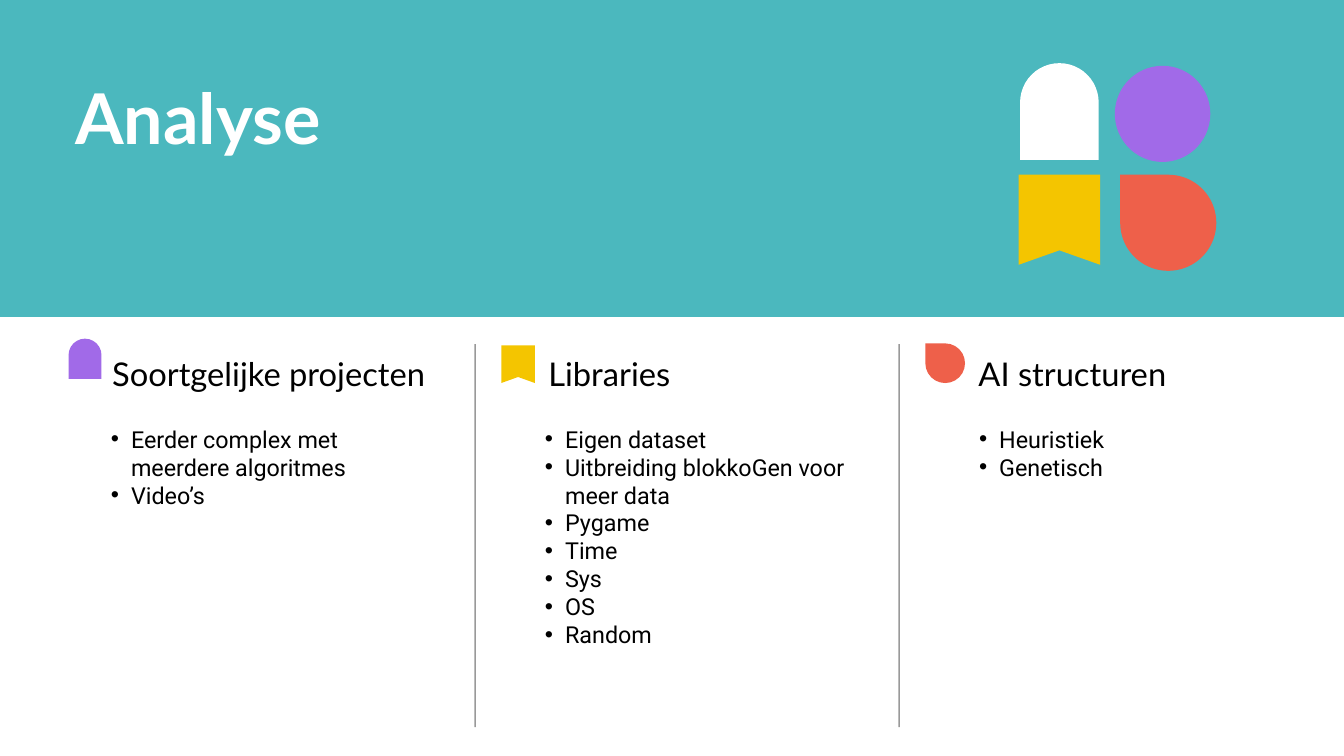
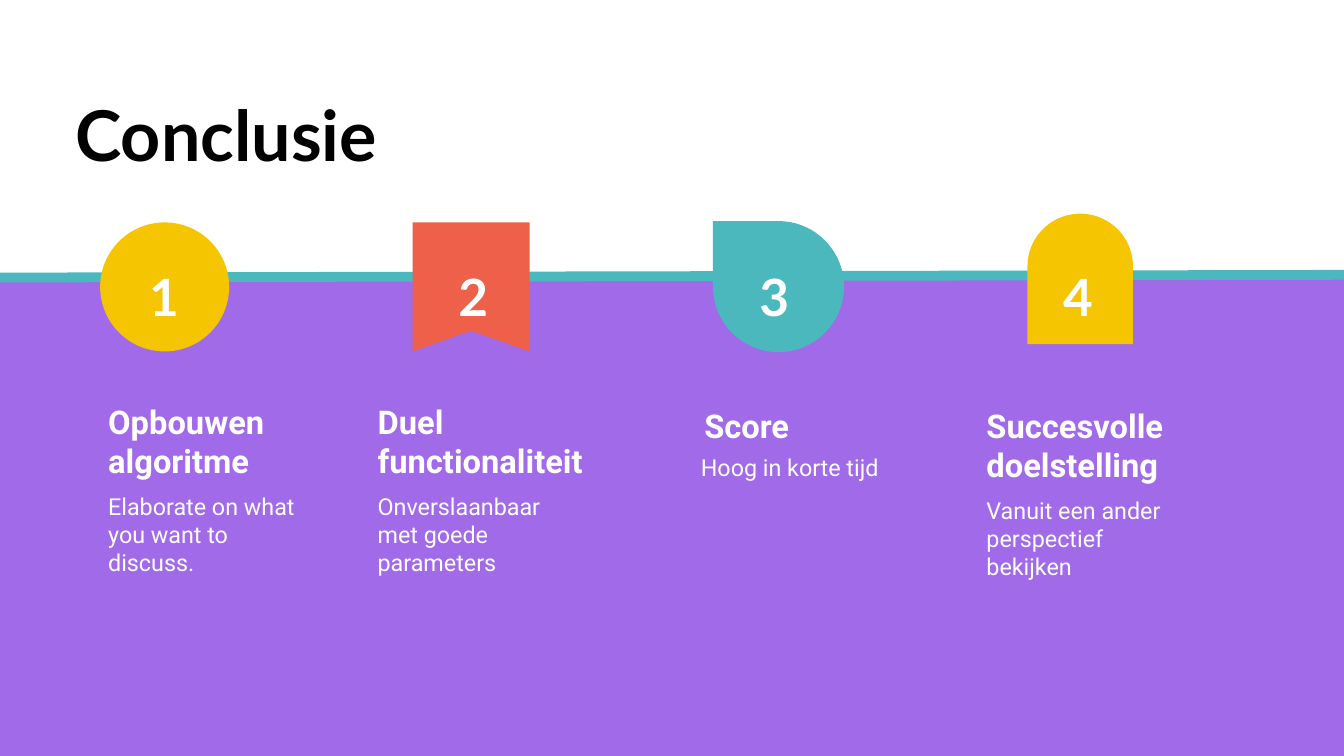
"""Build the analysis and conclusion slides."""
from lxml import etree
from pptx import Presentation
from pptx.dml.color import RGBColor
from pptx.enum.shapes import MSO_CONNECTOR, MSO_SHAPE
from pptx.enum.text import MSO_ANCHOR, MSO_AUTO_SIZE, PP_ALIGN
from pptx.oxml.ns import qn
from pptx.util import Inches, Pt

TEAL = RGBColor(0x4B, 0xB8, 0xBE)
PURPLE = RGBColor(0xA1, 0x6A, 0xE8)
YELLOW = RGBColor(0xF4, 0xC5, 0x00)
CORAL = RGBColor(0xEE, 0x60, 0x4A)
WHITE = RGBColor(0xFF, 0xFF, 0xFF)
BLACK = RGBColor(0x00, 0x00, 0x00)
HEAD, BODY = "Lato", "Roboto"
WIDE, HIGH = 20, 11.25
RECT, OVAL = MSO_SHAPE.RECTANGLE, MSO_SHAPE.OVAL
ARCH, DROP = MSO_SHAPE.ROUND_2_SAME_RECTANGLE, MSO_SHAPE.TEAR
FLAG = "flag"
LINE = MSO_CONNECTOR.STRAIGHT
LEFT, TOP = PP_ALIGN.LEFT, MSO_ANCHOR.TOP
GROW, FIXED = MSO_AUTO_SIZE.SHAPE_TO_FIT_TEXT, MSO_AUTO_SIZE.NONE

ICONS = [
    (ARCH, (15.18, 0.94, 1.17, 1.44), WHITE),
    (FLAG, (15.16, 2.6, 1.21, 1.34), YELLOW),
    (OVAL, (16.59, 0.98, 1.42, 1.43), PURPLE),
    (DROP, (16.67, 2.6, 1.43, 1.43), CORAL),
]
TOPICS = [
    ("Soortgelijke projecten", 1.67, ARCH, (1.02, 5.04, 0.49, 0.6), PURPLE,
     ["Eerder complex met meerdere algoritmes", "Video’s"]),
    ("Libraries", 8.16, FLAG, (7.46, 5.14, 0.5, 0.56), YELLOW,
     ["Eigen dataset", "Uitbreiding blokkoGen voor meer data", "Pygame",
      "Time", "Sys", "OS", "Random"]),
    ("AI structuren", 14.56, DROP, (13.77, 5.11, 0.59, 0.59), CORAL,
     ["Heuristiek", "Genetisch"]),
]
STEPS = [
    (OVAL, (1.49, 3.31, 1.92, 1.92), YELLOW, 2.22, (1.61, 5.98), 1.61, 2,
     "Opbouwen algoritme", ["Elaborate on what", "you want to discuss."]),
    (FLAG, (6.14, 3.31, 1.74, 1.92), CORAL, 6.82, (5.62, 5.98), 5.62, 2,
     "Duel functionaliteit", ["Onverslaanbaar met goede parameters"]),
    (DROP, (10.61, 3.29, 1.95, 1.95), TEAL, 11.3, (10.48, 6.04), 10.43, 1,
     "Score", ["Hoog in korte tijd"]),
    (ARCH, (15.29, 3.18, 1.57, 1.94), YELLOW, 15.82, (14.68, 6.04), 14.68, 2,
     "Succesvolle doelstelling", ["Vanuit een ander perspectief bekijken"]),
]


def write(frame, lines, size, face, color, bold=False, space=None):
    """Fill a text frame without margins and format its runs."""
    frame.margin_left = frame.margin_right = 0
    frame.margin_top = frame.margin_bottom = 0
    frame.word_wrap = True
    frame.vertical_anchor = TOP
    frame.text = "\n".join(lines)
    for para in frame.paragraphs:
        para.alignment = LEFT
        para.line_spacing = space
        for run in para.runs:
            font = run.font
            font.size, font.name, font.bold = Pt(size), face, bold
            font.color.rgb = color


def add_text(slide, box, lines, *style):
    """Add a text box and return its frame."""
    frame = slide.shapes.add_textbox(*map(Inches, box)).text_frame
    write(frame, lines, *style)
    frame.auto_size = GROW
    return frame


def add_title(deck, text, color, back, box, space=None):
    """Add a slide with a coloured background and a title."""
    slide = deck.slides.add_slide(deck.slide_layouts[5])
    fill = slide.background.fill
    fill.solid()
    fill.fore_color.rgb = back
    title = slide.shapes.title
    title.left, title.top, title.width, title.height = map(Inches, box)
    write(title.text_frame, [text], 75, HEAD, color, True, space)
    title.text_frame.auto_size = FIXED
    return slide


def add_flag(slide, box):
    """Outline a ribbon with a notch in its lower edge."""
    left, top, width, height = map(Inches, box)
    right, base = left + width, top + height
    pen = slide.shapes.build_freeform(left, top)
    notch = (left + width // 2, top + int(height * 0.84))
    pen.add_line_segments([(right, top), (right, base), notch, (left, base)])
    return pen.convert_to_shape()


def add_form(slide, kind, box, color):
    """Add a plain filled form."""
    if kind == FLAG:
        form = add_flag(slide, box)
    else:
        form = slide.shapes.add_shape(kind, *map(Inches, box))
    if kind == ARCH:
        form.adjustments[0] = 0.5
    if kind == DROP:
        form.rotation = 270
    form.shadow.inherit = False
    form.fill.solid()
    form.fill.fore_color.rgb = color
    form.line.fill.background()


def add_line(slide, ends, color, width, alpha=100):
    """Draw a straight line with a given opacity in percent."""
    line = slide.shapes.add_connector(LINE, *map(Inches, ends))
    line.line.color.rgb = color
    line.line.width = Pt(width)
    props = line._element.spPr
    if alpha < 100:
        tint = next(props.iter(qn("a:srgbClr")))
        etree.SubElement(tint, qn("a:alpha"), val=str(alpha * 1000))
    etree.SubElement(props, qn("a:effectLst"))


def add_dots(frame):
    """Give each paragraph a round bullet and a hanging indent."""
    for para in frame.paragraphs:
        para.level = 1
        props = para._p.get_or_add_pPr()
        props.set("marL", str(Inches(0.59)))
        props.set("indent", str(Inches(-0.3)))
        tint = etree.SubElement(props, qn("a:buClr"))
        etree.SubElement(tint, qn("a:srgbClr"), val=str(BLACK))
        etree.SubElement(props, qn("a:buFont"), typeface="Arial")
        etree.SubElement(props, qn("a:buChar"), char="•")


def add_topic(slide, left, topic):
    """Place a heading, its icon and a bullet list in one column."""
    name, edge, kind, box, color, items = topic
    frame = add_text(slide, (left, 6.32, 5, 0.42 * len(items)), items,
                     25, BODY, BLACK)
    add_dots(frame)
    add_text(slide, (edge, 5.09, 5.15, 0.77), [name],
             35, HEAD, BLACK, False, 1.3)
    add_form(slide, kind, box, color)


def add_step(slide, num, step):
    """Place a numbered form with its heading and text below."""
    kind, box, color, edge, spot, left, rows, name, lines = step
    add_form(slide, kind, box, color)
    add_text(slide, (edge, 3.76, 0.7, 0.9), [str(num)],
             55, HEAD, WHITE, True, 1.2)
    add_text(slide, (*spot, 3.19, 0.59 * rows), [name],
             35, BODY, WHITE, True)
    add_text(slide, (left, spot[1] + 0.05 + 0.65 * rows, 3.06, 0.84), lines,
             25, BODY, WHITE)


def make_study(deck):
    """Build the analysis slide with three columns."""
    slide = add_title(deck, "Analyse", WHITE, TEAL, (1.12, 1.11, 7.67, 1.26))
    add_form(slide, RECT, (0, 4.72, WIDE, HIGH - 4.72), WHITE)
    for left in (7.07, 13.38):
        add_line(slide, (left, 5.12, left, 10.82), BLACK, 1.5, 40)
    for icon in ICONS:
        add_form(slide, *icon)
    for col, topic in enumerate(TOPICS):
        add_topic(slide, 1.36 + 6.46 * col, topic)


def make_close(deck):
    """Build the conclusion slide with four steps."""
    slide = add_title(deck, "Conclusie", BLACK, WHITE,
                      (1.12, 1.11, 9.73, 1.51), 1.2)
    add_form(slide, RECT, (0, 4.15, WIDE, HIGH - 4.15), PURPLE)
    add_line(slide, (0, 4.13, WIDE, 4.09), TEAL, 10.5)
    for num, step in enumerate(STEPS, 1):
        add_step(slide, num, step)


def main():
    """Build and save the deck."""
    deck = Presentation()
    deck.slide_width, deck.slide_height = Inches(WIDE), Inches(HIGH)
    make_study(deck)
    make_close(deck)
    deck.save("out.pptx")


if __name__ == "__main__":
    main()
